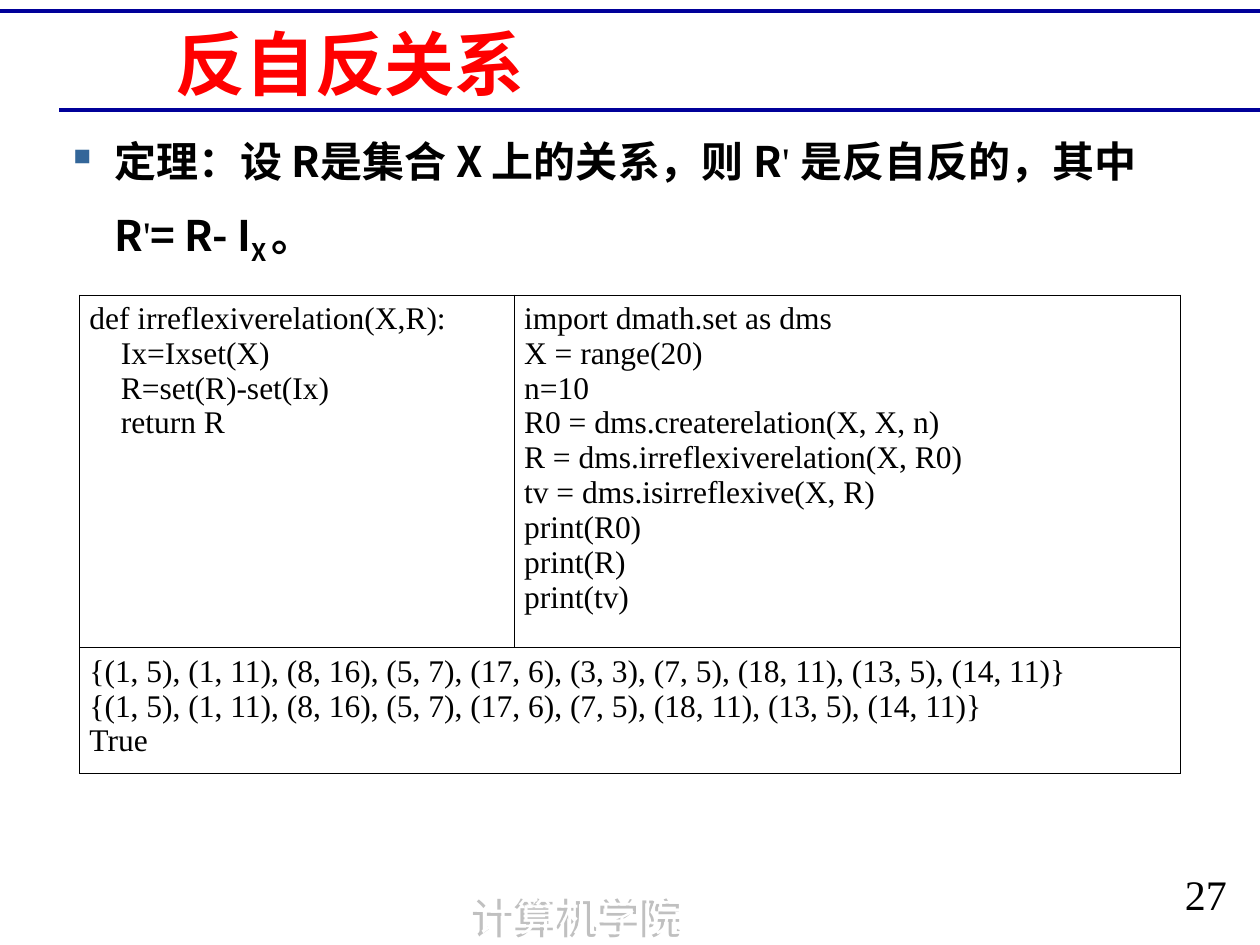
"""Build the slide on irreflexive relations."""
from lxml import etree
from pptx import Presentation
from pptx.dml.color import RGBColor
from pptx.enum.shapes import MSO_CONNECTOR
from pptx.enum.text import MSO_ANCHOR, MSO_AUTO_SIZE, PP_ALIGN
from pptx.oxml import parse_xml
from pptx.oxml.ns import nsdecls, qn
from pptx.util import Inches, Pt

STRAIGHT = MSO_CONNECTOR.STRAIGHT
MIDDLE = MSO_ANCHOR.MIDDLE
FIXED = MSO_AUTO_SIZE.NONE
LEFT, CENTER = PP_ALIGN.LEFT, PP_ALIGN.CENTER
RED = RGBColor(255, 0, 0)
NAVY = RGBColor(0, 0, 0x99)
BLACK = RGBColor(0, 0, 0)
WHITE = RGBColor(255, 255, 255)
SANS, SERIF = "Noto Sans CJK SC", "Times New Roman"

TITLE = "反自反关系"
SCHOOL = "计算机学院"
PAGE = "27"
RULES = [(0, 0.09), (0.47, 0.87)]
BOLD = {"name": SANS, "size": Pt(24), "bold": True}
PRIME = {"name": SERIF, "size": Pt(24), "bold": False}
THEOREM = [
    [("定理：设 R是集合 X 上的关系，则 R", BOLD), ("' ", PRIME), ("是反自反的，其中", BOLD)],
    [("R", BOLD), ("'", PRIME), ("= R- I", BOLD), ("X ", BOLD), ("。", BOLD)],
]
CODE = {
    (0, 0): [
        "def irreflexiverelation(X,R):",
        "    Ix=Ixset(X)",
        "    R=set(R)-set(Ix)",
        "    return R",
    ],
    (0, 1): [
        "import dmath.set as dms",
        "X = range(20)",
        "n=10",
        "R0 = dms.createrelation(X, X, n)",
        "R = dms.irreflexiverelation(X, R0)",
        "tv = dms.isirreflexive(X, R)",
        "print(R0)",
        "print(R)",
        "print(tv)",
    ],
    (1, 0): [
        "{(1, 5), (1, 11), (8, 16), (5, 7), (17, 6), (3, 3), (7, 5), (18, 11), (13, 5), (14, 11)}",
        "{(1, 5), (1, 11), (8, 16), (5, 7), (17, 6), (7, 5), (18, 11), (13, 5), (14, 11)}",
        "True",
    ],
}
COLS, ROWS = [3.45, 5.29], [2.7, 0.9]


def put(obj, form):
    for key, value in form.items():
        setattr(obj, key, value)


def write(para, text, form, color=BLACK):
    run = para.add_run()
    run.text = text
    put(run.font, form)
    run.font.color.rgb = color
    east = etree.SubElement(run.font._element, qn("a:ea"))
    east.set("typeface", form["name"])
    return run


def box(slide, *area):
    shape = slide.shapes.add_textbox(*map(Inches, area))
    shape.text_frame.word_wrap = True
    return shape


def add_rules(slide):
    for left, top in RULES:
        ends = map(Inches, (left, top, 10, top))
        rule = slide.shapes.add_connector(STRAIGHT, *ends)
        rule.line.color.rgb = NAVY
        rule.line.width = Pt(2.25)
        etree.SubElement(rule._element.spPr, qn("a:effectLst"))


def add_title(slide):
    title = slide.shapes.title
    area = map(Inches, (1.29, 0.21, 8.14, 0.58))
    put(title, dict(zip(("left", "top", "width", "height"), area)))
    put(title.text_frame, {"vertical_anchor": MIDDLE, "auto_size": FIXED})
    para = title.text_frame.paragraphs[0]
    para.alignment = LEFT
    write(para, TITLE, {"name": SANS, "size": Pt(40), "bold": True}, RED)


def add_body(slide):
    frame = box(slide, 0.43, 1.07, 9.39, 0.99).text_frame
    for i, parts in enumerate(THEOREM):
        para = frame.add_paragraph() if i else frame.paragraphs[0]
        put(para, {"line_spacing": 0.9, "space_after": Pt(6)})
        if i:
            para.space_before = Pt(7.5)
        props = para._p.get_or_add_pPr()
        props.set("marL", str(Inches(0.38)))
        props.set("indent", str(0 if i else -Inches(0.38)))
        if not i:
            color = etree.SubElement(props, qn("a:buClr"))
            etree.SubElement(color, qn("a:srgbClr")).set("val", "336699")
            etree.SubElement(props, qn("a:buChar")).set("char", "▪")
        for text, form in parts:
            run = write(para, text, form)
            if text == "X ":
                run.font._element.set("baseline", "-25000")


def add_edges(cell):
    props = cell._tc.get_or_add_tcPr()
    for i, side in enumerate(("lnL", "lnR", "lnT", "lnB")):
        props.insert(i, parse_xml(
            f'<a:{side} {nsdecls("a")} w="{Pt(0.45)}"><a:solidFill>'
            f'<a:srgbClr val="000000"/></a:solidFill></a:{side}>'))


def add_code(slide):
    area = map(Inches, (0.63, 2.34, sum(COLS), sum(ROWS)))
    table = slide.shapes.add_table(len(ROWS), len(COLS), *area).table
    put(table, {"first_row": False, "horz_banding": False})
    for col, width in zip(table.columns, COLS):
        col.width = Inches(width)
    for row, height in zip(table.rows, ROWS):
        row.height = Inches(height)
    table.cell(1, 0).merge(table.cell(1, 1))
    for cell in table.iter_cells():
        put(cell, {"margin_left": Inches(0.08), "margin_right": Inches(0.08)})
        cell.fill.background()
        add_edges(cell)
    for spot, lines in CODE.items():
        frame = table.cell(*spot).text_frame
        for i, text in enumerate(lines):
            para = frame.add_paragraph() if i else frame.paragraphs[0]
            write(para, text, {"name": SERIF, "size": Pt(18)})


def add_footer(slide):
    school = box(slide, 3.14, 7.01, 2.93, 0.5)
    school._element.spPr.append(parse_xml(
        f'<a:effectLst {nsdecls("a")}><a:outerShdw dist="{Inches(0.04)}" dir="8100000">'
        '<a:srgbClr val="C0C0C0"/></a:outerShdw></a:effectLst>'))
    page = box(slide, 9.14, 6.84, 0.86, 0.5)
    for shape, text, name, color in (
        (school, SCHOOL, SANS, WHITE), (page, PAGE, SERIF, BLACK),
    ):
        para = shape.text_frame.paragraphs[0]
        para.alignment = CENTER
        write(para, text, {"name": name, "size": Pt(24)}, color)


def main():
    deck = Presentation()
    put(deck, {"slide_width": Inches(10), "slide_height": Inches(7.5)})
    slide = deck.slides.add_slide(deck.slide_layouts[5])
    for add in (add_rules, add_footer, add_title, add_code, add_body):
        add(slide)
    deck.save("out.pptx")


if __name__ == "__main__":
    main()
